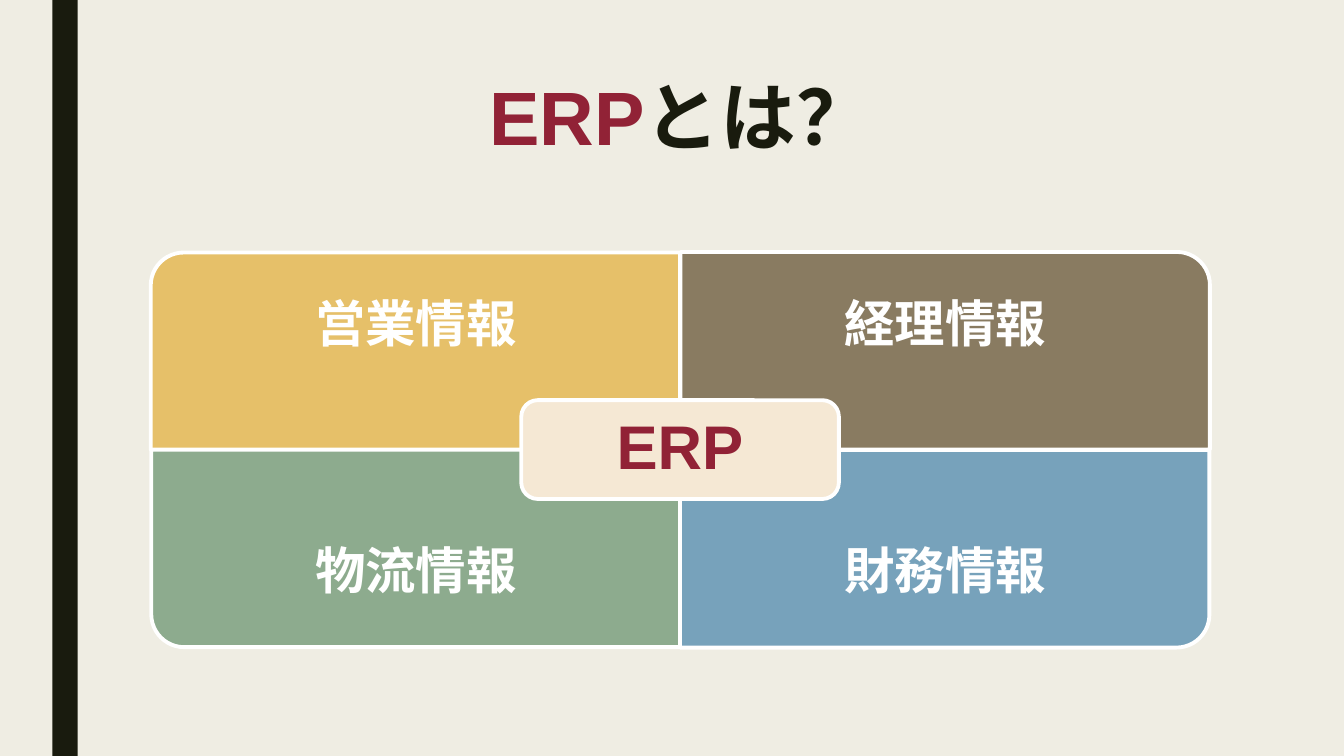
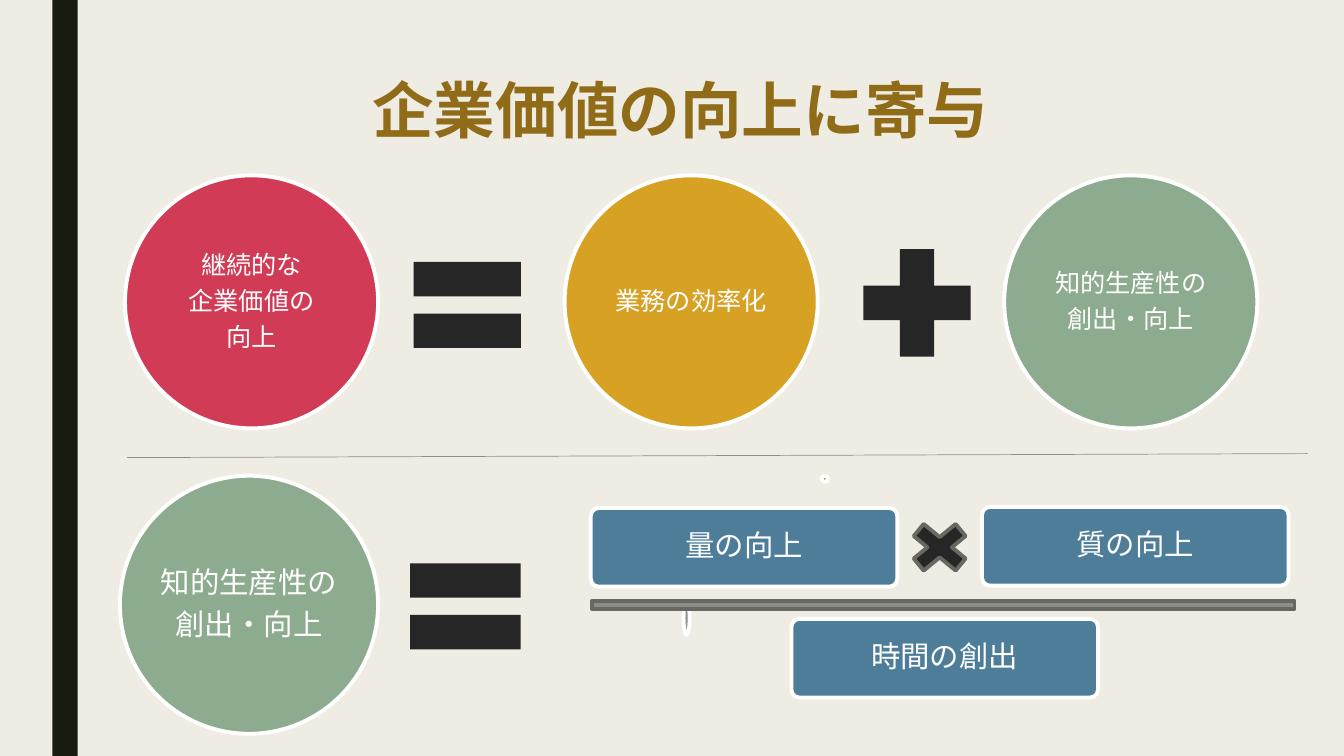
import pptx
import pptx.util
import pptx.dml.color
import pptx.enum.shapes
import pptx.enum.text
import pptx.oxml
import pptx.oxml.ns
import lxml.etree

SCALE = 9144
SHAPE = pptx.enum.shapes.MSO_SHAPE
ANCHOR = pptx.enum.text.MSO_ANCHOR
DARK = "191B0E"
WHITE = "FFFFFF"
RED = "912236"
GREEN = "8DAB8E"
BLUE = "4D7D99"
GREY = "8C8D86"
GREY_EDGE = "686863"
SIGN = "262626"


def px(length):
    return pptx.util.Emu(length * SCALE)


def colour(code):
    return pptx.dml.color.RGBColor.from_string(code)


def tag(name):
    return pptx.oxml.ns.qn(name)


class Deck:
    edge_width = pptx.util.Pt(2.75)

    def __init__(self):
        self.deck = pptx.Presentation()
        self.deck.slide_width = px(1333)
        self.deck.slide_height = px(750)
        background = self.deck.slide_master.background.fill
        background.solid()
        background.fore_color.rgb = colour("EFEDE3")
        self.page = None

    def new_page(self, title_height, title_size, title_font, title_spans):
        self.page = self.deck.slides.add_slide(self.deck.slide_layouts[5])
        self.shape(SHAPE.RECTANGLE, 52, 0, 25, 750, DARK)
        title = self.page.shapes.title
        title.left, title.top = px(150), px(75)
        title.width, title.height = px(1050), px(title_height)
        frame = title.text_frame
        frame.auto_size = pptx.enum.text.MSO_AUTO_SIZE.NONE
        frame.vertical_anchor = ANCHOR.TOP
        para = frame.paragraphs[0]
        para.alignment = pptx.enum.text.PP_ALIGN.CENTER
        para.line_spacing = 0.89
        for text, code in title_spans:
            self.span(para, text, title_size, code, title_font, True)

    def span(self, para, text, size, code, font, bold):
        span = para.add_run()
        span.text = text
        span.font.name = font
        span.font.size = pptx.util.Pt(size)
        span.font.bold = bold
        span.font.color.rgb = colour(code)

    def add_lines(self, box, lines, size, code=WHITE, font="Roboto", bold=False, inset=3):
        frame = box.text_frame
        frame.word_wrap = True
        frame.vertical_anchor = ANCHOR.MIDDLE
        frame.margin_left = frame.margin_right = px(inset)
        frame.margin_top = frame.margin_bottom = px(inset)
        for index, line in enumerate(lines):
            para = frame.add_paragraph() if index else frame.paragraphs[0]
            para.alignment = pptx.enum.text.PP_ALIGN.CENTER
            para.line_spacing = 0.9
            para.space_after = pptx.util.Pt(0)
            after = para._p.pPr.find(tag("a:spcAft"))
            after.remove(after[0])
            lxml.etree.SubElement(after, tag("a:spcPct")).set("val", "35000")
            self.span(para, line, size, code, font, bold)

    def shape(self, kind, left, top, width, height, fill, edge=None):
        box = self.page.shapes.add_shape(kind, px(left), px(top), px(width), px(height))
        box.shadow.inherit = False
        box.fill.solid()
        box.fill.fore_color.rgb = colour(fill)
        if edge:
            box.line.color.rgb = colour(edge)
            box.line.width = self.edge_width
        else:
            box.line.fill.background()
        return box

    def label(self, left, top, width, height, text, size):
        box = self.page.shapes.add_textbox(px(left), px(top), px(width), px(height))
        self.add_lines(box, [text], size, font="Arial", bold=True, inset=28)

    def quadrant(self, left, top, width, height, fill, turn):
        if turn % 180:
            left += (width - height) // 2
            top -= (width - height) // 2
            width, height = height, width
        box = self.shape(SHAPE.ROUND_1_RECTANGLE, left, top, width, height, fill, WHITE)
        box.rotation = turn

    def circle(self, left, top, size, fill, lines, text_size):
        box = self.shape(SHAPE.OVAL, left, top, size, size, fill, WHITE)
        self.add_lines(box, lines, text_size)

    def factor(self, left, top, text):
        box = self.shape(SHAPE.ROUNDED_RECTANGLE, left, top, 304, 78, BLUE, WHITE)
        box.adjustments[0] = 0.1
        self.add_lines(box, [text], 21, inset=9)

    def rule(self, start_x, start_y, end_x, end_y, code):
        line = self.page.shapes.add_connector(
            pptx.enum.shapes.MSO_CONNECTOR.STRAIGHT,
            px(start_x), px(start_y), px(end_x), px(end_y))
        line.line.color.rgb = colour(code)
        line.line.width = pptx.util.Pt(0.5)
        lxml.etree.SubElement(line._element.spPr, tag("a:effectLst"))


def build_overview(deck):
    deck.new_page(162, 54, "Arial", [("ERP", RED), ("とは？", DARK)])
    left, top, width, height, label_height = 150, 250, 525, 196, 147
    quadrants = [
        ("営業情報", "E6C069", 270),
        ("経理情報", "897B61", 0),
        ("物流情報", GREEN, 180),
        ("財務情報", "77A2BB", 90),
    ]
    for index, (text, fill, turn) in enumerate(quadrants):
        row, column = divmod(index, 2)
        x, y = left + column * width, top + row * height
        deck.quadrant(x, y, width, height, fill, turn)
        deck.label(x, y + row * (height - label_height), width, label_height, text, 36)
    centre = deck.shape(SHAPE.ROUNDED_RECTANGLE, 517, 397, 315, 98, "F5E8D4", WHITE)
    deck.add_lines(centre, ["ERP"], 44, RED, "Arial", True, 18)


def build_value(deck):
    deck.new_page(85, 44, "Roboto", [("企業価値の向上に寄与", "906B18")])
    productivity = ["知的生産性の", "創出・向上"]
    terms = [
        ("D13B56", ["継続的な", "企業価値の", "向上"]),
        ("D7A124", ["業務の効率化"]),
        (GREEN, productivity),
    ]
    for index, (fill, lines) in enumerate(terms):
        deck.circle(124 + index * 436, 174, 251, fill, lines, 18)
    deck.shape(SHAPE.MATH_EQUAL, 391, 230, 145, 145, SIGN)
    deck.shape(SHAPE.MATH_PLUS, 837, 228, 145, 145, SIGN)

    deck.circle(119, 472, 256, GREEN, productivity, 21)
    deck.shape(SHAPE.MATH_EQUAL, 387, 529, 149, 145, SIGN)
    deck.shape(SHAPE.OVAL, 815, 472, 6, 6, GREY, WHITE)
    deck.shape(SHAPE.OVAL, 678, 596, 6, 34, GREY, WHITE)
    deck.factor(586, 504, "量の向上")
    deck.factor(974, 503, "質の向上")
    deck.factor(785, 614, "時間の創出")
    deck.shape(SHAPE.RECTANGLE, 587, 596, 697, 8, GREY, GREY_EDGE)
    deck.shape(SHAPE.MATH_MULTIPLY, 892, 510, 80, 66, SIGN, GREY_EDGE)
    deck.rule(126, 454, 1297, 450, GREY)


def main():
    deck = Deck()
    build_overview(deck)
    build_value(deck)
    deck.deck.save("out.pptx")


if __name__ == "__main__":
    main()
